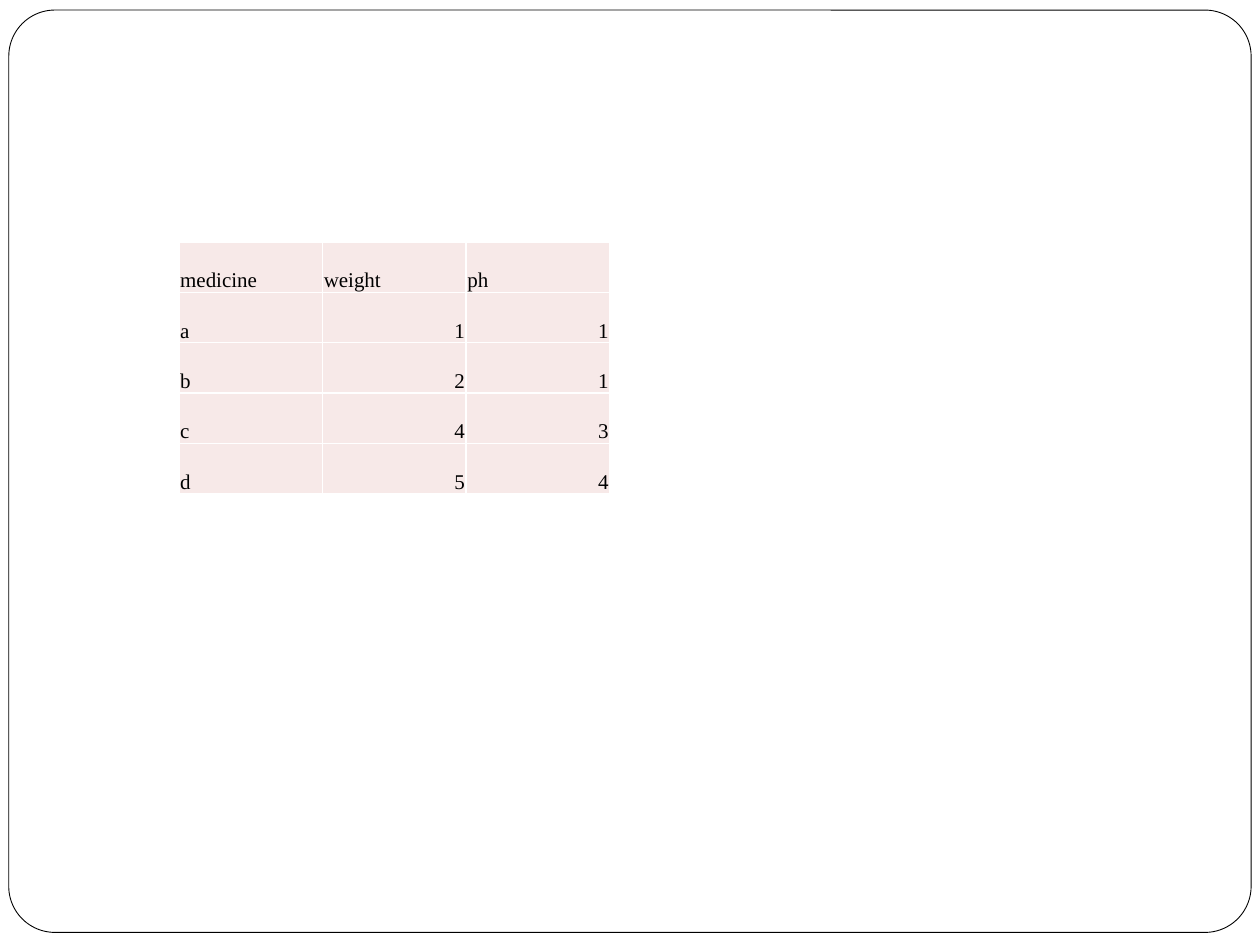
from pptx import Presentation
from pptx.dml.color import RGBColor
from pptx.enum.shapes import MSO_SHAPE as Shape
from pptx.enum.text import MSO_ANCHOR as Anchor, PP_ALIGN as Align
from pptx.oxml.ns import qn
from pptx.util import Inches, Pt
from lxml import etree

FONT = "Times New Roman"
BLACK, WHITE, PINK = "000000", "FFFFFF", "F7E9E8"
ROWS = [
    ("medicine", "weight", "ph"),
    ("a", "1", "1"),
    ("b", "2", "1"),
    ("c", "4", "3"),
    ("d", "5", "4"),
]


def paint(target, color):
    target.solid()
    target.fore_color.rgb = RGBColor.from_string(color)


def add_frame(slide, left, top, width, height):
    frame = slide.shapes.add_shape(
        Shape.ROUNDED_RECTANGLE,
        Inches(left), Inches(top), Inches(width), Inches(height))
    frame.adjustments[0] = 0.05
    frame.shadow.inherit = False
    paint(frame.fill, WHITE)
    paint(frame.line.fill, BLACK)
    frame.line.width = Pt(0.5)


def add_borders(cell, color, points):
    props = cell._tc.get_or_add_tcPr()
    # Borders come before the fill in the cell properties
    for place, side in enumerate(("lnL", "lnR", "lnT", "lnB")):
        line = etree.Element(qn(f"a:{side}"), w=str(Pt(points)))
        fill = etree.SubElement(line, qn("a:solidFill"))
        etree.SubElement(fill, qn("a:srgbClr"), val=color)
        props.insert(place, line)


def fill_cell(cell, text):
    cell.margin_left = cell.margin_right = cell.margin_top = Inches(0.01)
    cell.margin_bottom = 0
    cell.vertical_anchor = Anchor.BOTTOM
    paint(cell.fill, PINK)
    add_borders(cell, WHITE, 1)
    para = cell.text_frame.paragraphs[0]
    para.alignment = Align.RIGHT if text.isdigit() else Align.LEFT
    run = para.add_run()
    run.text = text
    run.font.name = FONT
    run.font.size = Pt(12)
    run.font.bold = False
    run.font.color.rgb = RGBColor.from_string(BLACK)


def add_data(slide, left, top, width, height):
    table = slide.shapes.add_table(
        len(ROWS), len(ROWS[0]),
        Inches(left), Inches(top), Inches(width), Inches(height)).table
    table.first_row = table.horz_banding = False
    for r, row in enumerate(ROWS):
        for c, text in enumerate(row):
            fill_cell(table.cell(r, c), text)


def main():
    deck = Presentation()
    deck.slide_width, deck.slide_height = Inches(10), Inches(7.5)
    slide = deck.slides.add_slide(deck.slide_layouts[6])
    paint(slide.background.fill, WHITE)

    # Rounded page frame
    add_frame(slide, 0.07, 0.08, 9.86, 7.32)
    # Medicine table
    add_data(slide, 1.42, 1.92, 3.42, 2)

    deck.save("out.pptx")


if __name__ == "__main__":
    main()
